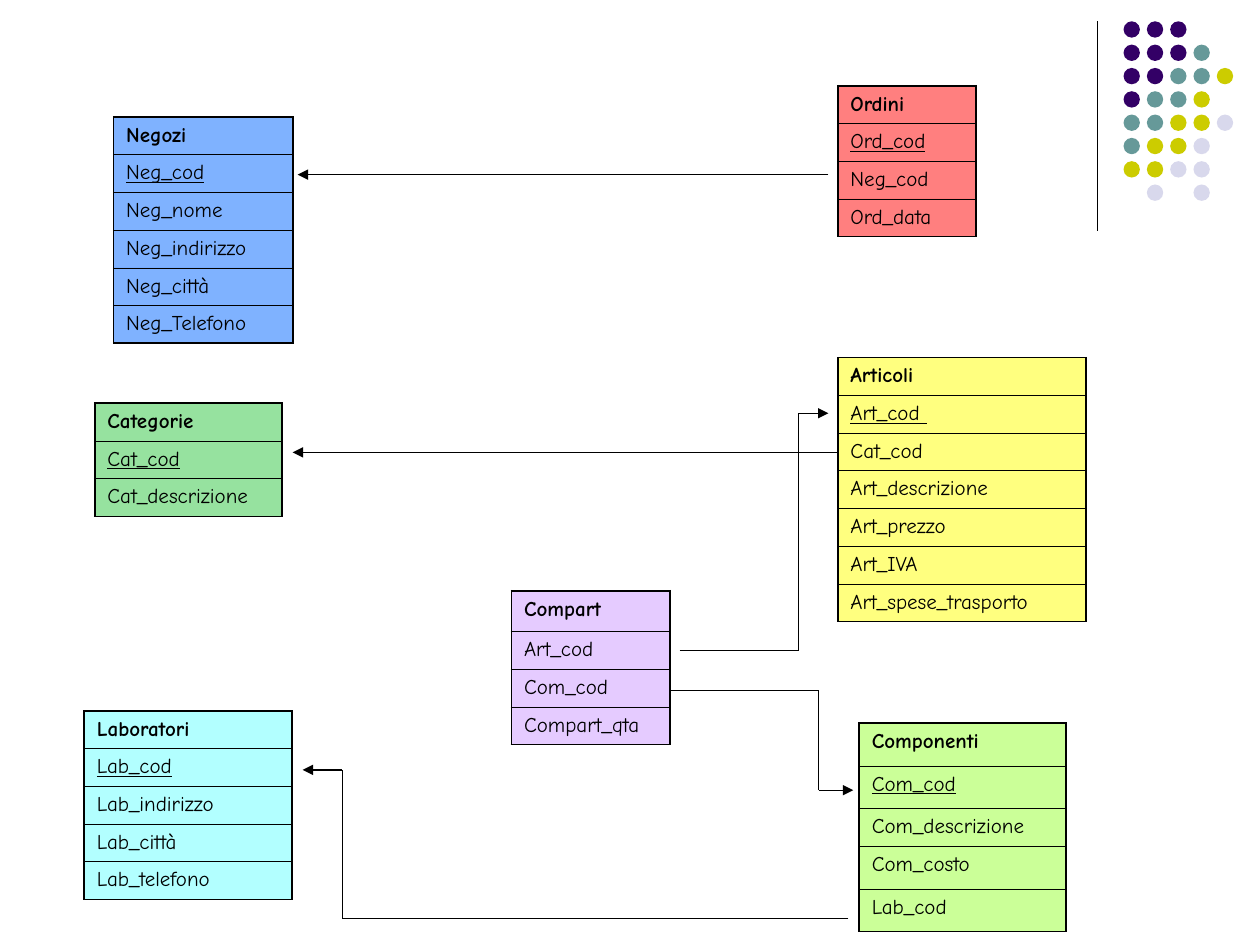
from itertools import pairwise

from lxml.etree import SubElement
from pptx import Presentation
from pptx.dml.color import RGBColor
from pptx.enum.shapes import MSO_CONNECTOR as Connector, MSO_SHAPE as Shape
from pptx.oxml.ns import qn
from pptx.util import Cm, Pt

COLORS = {
    "black": "000000",
    "purple": "330066",
    "teal": "669999",
    "olive": "CCCC00",
    "mist": "D8D8EC",
    "negozi": "0066FF",
    "ordini": "FF0000",
    "categorie": "2FC741",
    "articoli": "FFFF00",
    "compart": "CC99FF",
    "laboratori": "66FFFF",
    "componenti": "99FF33",
}
ROW = 0.76  # usual row height, cm

# Name, left, top, width, fields, has key, row heights that differ
ENTITIES = [
    ("Categorie", 1.91, 8.13, 3.78, ["Cat_cod", "Cat_descrizione"], True, {}),
    ("Articoli", 16.89, 7.21, 5.0,
     ["Art_cod ", "Cat_cod", "Art_descrizione", "Art_prezzo", "Art_IVA",
      "Art_spese_trasporto"], True, {}),
    ("Componenti", 17.32, 14.58, 4.17,
     ["Com_cod", "Com_descrizione", "Com_costo", "Lab_cod"], True,
     {0: 0.86, 1: 0.86, 3: 0.86, 4: 0.86}),
    ("Laboratori", 1.7, 14.33, 4.19,
     ["Lab_cod", "Lab_indirizzo", "Lab_città", "Lab_telefono"], True, {}),
    ("Ordini", 16.89, 1.73, 2.79, ["Ord_cod", "Neg_cod", "Ord_data"], True, {}),
    ("Negozi", 2.29, 2.36, 3.61,
     ["Neg_cod", "Neg_nome", "Neg_indirizzo", "Neg_città", "Neg_Telefono"],
     True, {}),
    ("Compart", 10.31, 11.91, 3.2, ["Art_cod", "Com_cod", "Compart_qta"],
     False, {0: 0.82}),
]

# Foreign key to primary key, as corner points in cm
RELATIONS = [
    [(16.89, 9.12), (5.9, 9.12)],
    [(17.1, 18.52), (6.9, 18.52), (6.9, 15.52), (6.1, 15.52)],
    [(13.5, 13.92), (16.5, 13.92), (16.5, 15.93), (17.2, 15.93)],
    [(13.7, 13.12), (16.1, 13.12), (16.1, 8.33), (16.7, 8.33)],
    [(16.7, 3.52), (6.0, 3.52)],
]

DOT_COLORS = {"p": "purple", "t": "teal", "o": "olive", "m": "mist"}
DOT_ROWS = ["ppp", "pppt", "pptto", "ptto", "ttoom", "toom", "oomm", ".m.m"]


class Diagram:
    font = "Comic Neue"
    text_size = Pt(12)
    line_width = Pt(0.75)
    outer_border, inner_border = Pt(1.08), Pt(0.45)

    def __init__(self, slide):
        self.slide = slide

    def color(self, name):
        return RGBColor.from_string(COLORS[name])

    def dots(self, left, top, step, size):
        group = self.slide.shapes.add_group_shape()
        for row, marks in enumerate(DOT_ROWS):
            for column, mark in enumerate(marks):
                if mark not in DOT_COLORS:
                    continue
                dot = group.shapes.add_shape(
                    Shape.OVAL, Cm(left + column * step),
                    Cm(top + row * step), Cm(size), Cm(size))
                dot.shadow.inherit = False
                dot.fill.solid()
                dot.fill.fore_color.rgb = self.color(DOT_COLORS[mark])
                dot.line.fill.background()

    def line(self, start, end, arrow=False):
        connector = self.slide.shapes.add_connector(
            Connector.STRAIGHT, *(Cm(value) for value in (*start, *end)))
        connector.line.color.rgb = self.color("black")
        connector.line.width = self.line_width
        if arrow:
            SubElement(connector.line._get_or_add_ln(), qn("a:tailEnd"),
                       type="triangle")
        SubElement(connector._element.spPr, qn("a:effectLst"))

    def route(self, points):
        for start, end in pairwise(points):
            self.line(start, end, arrow=end == points[-1])

    def entity(self, name, left, top, width, fields, has_key, row_heights):
        texts = [name, *fields]
        last = len(texts) - 1
        heights = [Cm(row_heights.get(row, ROW)) for row in range(len(texts))]
        table = self.slide.shapes.add_table(
            len(texts), 1, Cm(left), Cm(top), Cm(width), sum(heights)).table
        table.first_row = table.horz_banding = False
        for row, (text, height) in enumerate(zip(texts, heights)):
            table.rows[row].height = height
            cell = table.cell(row, 0)
            cell.text_frame.text = text
            font = cell.text_frame.paragraphs[0].runs[0].font
            font.name, font.size = self.font, self.text_size
            font.color.rgb = self.color("black")
            font.bold = row == 0
            font.underline = has_key and row == 1
            self.cell_style(cell, name.lower(), row == 0, row == last)

    def cell_style(self, cell, color, is_first, is_last):
        cell.fill.solid()
        cell.fill.fore_color.rgb = self.color(color)
        properties = cell._tc.tcPr
        fill_color = properties.find(f"{qn('a:solidFill')}/{qn('a:srgbClr')}")
        SubElement(fill_color, qn("a:alpha"), val="50000")
        # Borders go before the fill
        sides = {"L": True, "R": True, "T": is_first, "B": is_last}
        for position, (side, is_outer) in enumerate(sides.items()):
            width = self.outer_border if is_outer else self.inner_border
            border = SubElement(properties, qn(f"a:ln{side}"), w=str(width))
            fill = SubElement(border, qn("a:solidFill"))
            SubElement(fill, qn("a:srgbClr"), val=COLORS["black"])
            properties.insert(position, border)


def main():
    presentation = Presentation()
    presentation.slide_width, presentation.slide_height = Cm(25.4), Cm(19.05)
    blank_layout = presentation.slide_layouts[6]
    diagram = Diagram(presentation.slides.add_slide(blank_layout))

    # Corner decoration
    diagram.line((22.12, 0.43), (22.12, 4.65))
    diagram.dots(22.65, 0.43, step=0.47, size=0.33)

    # Database tables
    for entity in ENTITIES:
        diagram.entity(*entity)

    # Relations
    for points in RELATIONS:
        diagram.route(points)

    presentation.save("out.pptx")


if __name__ == "__main__":
    main()
